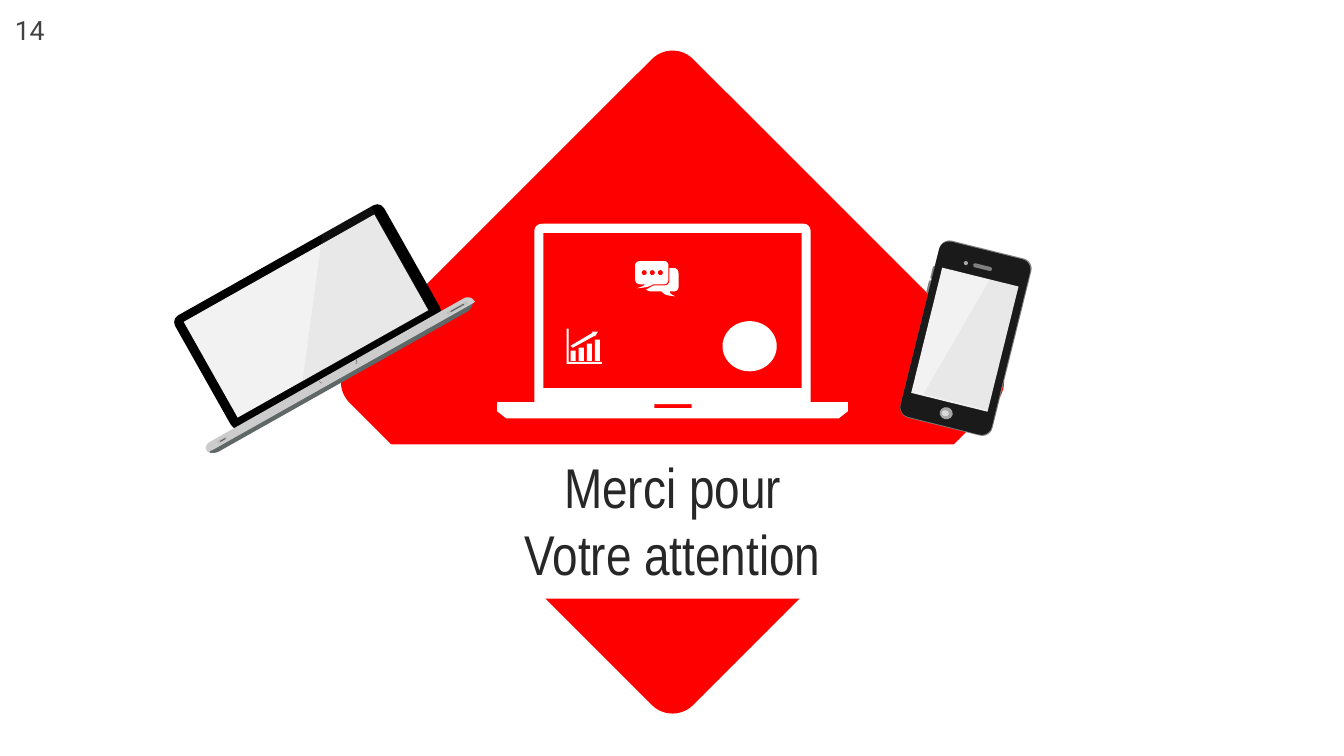
from dataclasses import dataclass

import lxml.etree
import pptx
import pptx.dml.color
import pptx.enum.shapes
import pptx.enum.text
import pptx.oxml.ns
import pptx.util

COLUMNS, ROWS = 13.33, 7.5
CELL = pptx.util.Inches(1)
CURVE_STEPS = 8
LAPTOP_TILT, PHONE_TILT = 330.6, 13.9

RED, WHITE, BLACK, SCREEN = "FF0000", "FFFFFF", "000000", "F2F2F2"
METAL, GLARE = "808080", "999999"

KINDS = pptx.enum.shapes.MSO_SHAPE
RECT, ROUND, OVAL = KINDS.RECTANGLE, KINDS.ROUNDED_RECTANGLE, KINDS.OVAL


@dataclass
class Preset:
    """A preset shape; lengths in grid columns and rows."""
    kind: int
    left: float
    top: float
    width: float
    height: float
    fill: str
    tilt: float = 0
    corner: float = 0
    line_points: float = 0


@dataclass
class Outline:
    """Contours written as M, L, C and Z commands in grid columns and rows."""
    route: str
    fill: str
    opacity: float = 1


@dataclass
class Label:
    left: float
    top: float
    width: float
    height: float
    lines: list[str]
    font: str
    size: float
    colour: str
    wrap: bool
    anchor: int


def box_route(left: float, top: float, right: float, bottom: float) -> str:
    return f"M{left},{top} L{right},{top} {right},{bottom} {left},{bottom} Z"


def dot_route(x: float) -> str:
    """A round hole in the speech bubble, centred on column x."""
    left, right, inner_left, inner_right = (round(x + d, 3) for d in (-.025, .025, -.014, .014))
    return (f"M{x},2.68 C{inner_left},2.68 {left},2.69 {left},2.704 "
            f"{left},2.72 {inner_left},2.73 {x},2.73 "
            f"{inner_right},2.73 {right},2.72 {right},2.704 "
            f"{right},2.69 {inner_right},2.68 {x},2.68 Z")


BARS = " ".join(box_route(round(5.66 + .08 * i, 2), top, round(5.71 + .08 * i, 2), 3.58)
                for i, top in enumerate((3.48, 3.45, 3.41, 3.37)))
TREND = "M5.87,3.29 L5.93,3.29 5.9,3.34 5.9,3.33 5.68,3.45 5.66,3.43 5.88,3.3 Z"
AXES = "M5.62,3.26 L5.64,3.26 5.64,3.59 5.97,3.59 5.97,3.61 5.62,3.61 Z"
DOTS = " ".join(dot_route(x) for x in (6.39, 6.47, 6.55))
BACK_BUBBLE = ("M6.64,2.66 L6.69,2.66 C6.71,2.66 6.73,2.68 6.73,2.71 L6.73,2.85 "
               "C6.73,2.87 6.71,2.89 6.69,2.89 L6.64,2.89 C6.65,2.91 6.65,2.92 6.7,2.94 "
               "6.61,2.93 6.6,2.93 6.56,2.89 L6.45,2.89 C6.43,2.89 6.42,2.88 6.41,2.87 "
               "6.44,2.86 6.46,2.84 6.49,2.83 L6.6,2.83 C6.62,2.83 6.64,2.81 6.64,2.78 Z")
FRONT_BUBBLE = ("M6.35,2.59 L6.59,2.59 C6.61,2.59 6.63,2.61 6.63,2.63 L6.63,2.77 "
                "C6.63,2.8 6.61,2.82 6.59,2.82 L6.48,2.82 C6.43,2.85 6.41,2.85 6.32,2.86 "
                "6.37,2.84 6.38,2.84 6.4,2.82 L6.35,2.82 C6.32,2.82 6.3,2.8 6.3,2.77 "
                "L6.3,2.63 C6.3,2.61 6.32,2.59 6.35,2.59 Z")
LAPTOP_FRAME = ("M5.38,2.22 L7.97,2.22 C8.01,2.22 8.04,2.25 8.04,2.3 L8.04,3.99 8.41,3.99 "
                "8.41,4.08 8.32,4.15 5.02,4.15 4.93,4.08 4.93,3.99 5.3,3.99 5.3,2.3 "
                "C5.3,2.25 5.33,2.22 5.38,2.22 Z")
KEYBOARD_UNDERSIDE = ("M4.64,3.09 C4.64,3.09 4.69,3.05 4.69,3 4.69,2.99 4.67,2.99 4.66,3 "
                      "L2.13,4.43 2.09,4.45 C2.08,4.46 2.07,4.48 2.08,4.49 "
                      "2.11,4.5 2.15,4.49 2.17,4.48 Z")
KEYBOARD_EDGE = ("M2.09,4.38 L4.6,2.96 C4.64,2.94 4.68,2.95 4.7,2.98 L4.71,2.99 "
                 "C4.71,2.99 4.71,3 4.69,3.01 L2.1,4.47 C2.09,4.47 2.09,4.47 2.08,4.48 "
                 "2.08,4.48 2.06,4.49 2.06,4.48 L2.05,4.47 C2.03,4.44 2.05,4.4 2.09,4.38 Z")
LID_NOTCH = ("M3.53,3.57 L3.53,3.56 C3.55,3.59 3.54,3.61 3.53,3.61 L3.52,3.61 3.53,3.61 "
             "C3.54,3.6 3.54,3.59 3.53,3.57 Z "
             "M3.16,3.77 C3.16,3.77 3.17,3.8 3.2,3.8 3.17,3.81 3.16,3.77 3.16,3.77 Z")

BACKDROP = [
    Preset(ROUND, 4.26, 1.38, 4.82, 4.82, RED, 315, .06),
    Preset(RECT, 1.73, 4.41, 9.87, 1.53, WHITE),
]
ICONS = [
    Preset(OVAL, 7.18, 3.2, .51, .47, WHITE, line_points=2),
    Outline(f"{BARS} {TREND} {AXES}", WHITE),
    Outline(f"{DOTS} {BACK_BUBBLE} {FRONT_BUBBLE}", WHITE),
]
TILTED_LAPTOP = [
    Outline(KEYBOARD_UNDERSIDE, "5F6767"),
    Preset(ROUND, 1.86, 2.5, 2.38, 1.28, BLACK, LAPTOP_TILT, .06),
    Preset(RECT, 1.95, 2.59, 2.17, 1.09, SCREEN, LAPTOP_TILT),
    Outline(KEYBOARD_EDGE, "CCCCCC"),
    Outline(LID_NOTCH, "4D4D4D"),
    Preset(ROUND, 2.15, 4.35, .11, .03, "BFBFBF", LAPTOP_TILT, .28),
    Preset(ROUND, 2.18, 4.36, .06, .01, "595959", LAPTOP_TILT, .28),
    Preset(ROUND, 4.42, 3.04, .23, .03, "BFBFBF", LAPTOP_TILT, .28),
    Preset(ROUND, 4.46, 3.05, .15, .01, "595959", LAPTOP_TILT, .28),
    Outline("M3.2,2.31 L3.68,2.05 4.26,3.08 3,3.79 Z", GLARE, .1),
]
PHONE = [
    *(Preset(ROUND, left, top, .03, .13, METAL, PHONE_TILT, .5)
      for left, top in ((9.24, 2.64), (9.2, 2.78), (10.1, 3))),
    Preset(ROUND, 9.11, 2.45, .94, 1.81, METAL, PHONE_TILT, .11),
    Preset(ROUND, 9.11, 2.46, .93, 1.79, "1A1A1A", PHONE_TILT, .11),
    Preset(RECT, 9.18, 2.73, .78, 1.28, SCREEN, PHONE_TILT),
    Preset(OVAL, 9.32, 4.04, .13, .12, "A6A6A6", PHONE_TILT),
    Preset(OVAL, 9.34, 4.07, .07, .06, "D9D9D9", PHONE_TILT),
    Outline("M9.82,2.77 L10.1,2.85 9.8,4.07 9.16,3.91 Z", GLARE, .1),
    Preset(ROUND, 9.65, 2.63, .19, .04, METAL, PHONE_TILT, .5),
    Preset(OVAL, 9.56, 2.59, .04, .04, "A6A6A6", PHONE_TILT),
]
CENTRE_LAPTOP = Outline(
    f"{box_route(6.49, 4.01, 6.86, 4.05)} {box_route(5.39, 2.31, 7.95, 3.85)} {LAPTOP_FRAME}",
    WHITE)
ANCHORS = pptx.enum.text.MSO_ANCHOR
LABELS = [
    Label(3.4, 4.44, 6.54, 1.43, ["Merci pour", "Votre attention"],
          "Arial Narrow", 40, "272727", True, ANCHORS.MIDDLE),
    Label(.09, .09, .41, .42, ["14"], "Roboto", 19, "414141", False, ANCHORS.TOP),
]


def cells(*counts: float) -> list[int]:
    return [round(count * CELL) for count in counts]


def paint(target, colour: str) -> None:
    """Give a fill, or a line's fill, one solid colour."""
    target.solid()
    target.fore_color.rgb = pptx.dml.color.RGBColor.from_string(colour)


def finish(shape, fill: str, line_points: float = 0) -> None:
    shape.shadow.inherit = False
    paint(shape.fill, fill)
    if line_points:
        paint(shape.line.fill, fill)
        shape.line.width = pptx.util.Pt(line_points)
    else:
        shape.line.fill.background()


def draw_preset(page, item: Preset) -> None:
    shape = page.shapes.add_shape(
        item.kind, *cells(item.left, item.top, item.width, item.height))
    shape.rotation = item.tilt
    if item.kind == ROUND:
        shape.adjustments[0] = item.corner
    finish(shape, item.fill, item.line_points)


def contours(route: str) -> list[list[tuple[float, float]]]:
    """Turn a route into lists of points, with curves cut into short lines."""
    found, command, pending = [], "M", []
    for token in route.split():
        if token[0].isalpha():
            command, token = token[0], token[1:]
        if not token:
            continue
        x, y = map(float, token.split(","))
        if command == "M":
            found.append([(x, y)])
        elif command == "L":
            found[-1].append((x, y))
        else:
            pending.append((x, y))
            if len(pending) == 3:
                found[-1] += curve(found[-1][-1], *pending)
                pending = []
    return found


def curve(*controls: tuple[float, float]) -> list[tuple[float, float]]:
    points = []
    for step in range(1, CURVE_STEPS + 1):
        t = step / CURVE_STEPS
        weights = ((1 - t) ** 3, 3 * t * (1 - t) ** 2, 3 * t * t * (1 - t), t ** 3)
        points.append(tuple(sum(w * c[axis] for w, c in zip(weights, controls))
                            for axis in (0, 1)))
    return points


def draw_outline(page, item: Outline) -> None:
    first, *others = [[cells(*point) for point in contour] for contour in contours(item.route)]
    builder = page.shapes.build_freeform(*first[0])
    builder.add_line_segments(first[1:], close=True)
    for contour in others:
        builder.move_to(*contour[0])
        builder.add_line_segments(contour[1:], close=True)
    shape = builder.convert_to_shape()
    finish(shape, item.fill)
    if item.opacity < 1:
        colour = shape.fill._xPr.find(".//" + pptx.oxml.ns.qn("a:srgbClr"))
        alpha = lxml.etree.SubElement(colour, pptx.oxml.ns.qn("a:alpha"))
        alpha.set("val", str(round(item.opacity * 100000)))


def draw_label(page, item: Label) -> None:
    box = page.shapes.add_textbox(*cells(item.left, item.top, item.width, item.height))
    frame = box.text_frame
    frame.word_wrap = item.wrap
    frame.auto_size = pptx.enum.text.MSO_AUTO_SIZE.SHAPE_TO_FIT_TEXT
    frame.vertical_anchor = item.anchor
    frame.margin_left = frame.margin_right = frame.margin_top = frame.margin_bottom = cells(.05)[0]
    frame.text = "\n".join(item.lines)
    for para in frame.paragraphs:
        para.alignment = pptx.enum.text.PP_ALIGN.CENTER
        para.font.name = item.font
        para.font.size = pptx.util.Pt(item.size)
        paint(para.font.fill, item.colour)


def main() -> None:
    deck = pptx.Presentation()
    deck.slide_width, deck.slide_height = cells(COLUMNS, ROWS)
    page = deck.slides.add_slide(deck.slide_layouts[6])
    draw = {Preset: draw_preset, Outline: draw_outline, Label: draw_label}
    for item in [*BACKDROP, *ICONS, *TILTED_LAPTOP, *PHONE, CENTRE_LAPTOP, *LABELS]:
        draw[type(item)](page, item)
    deck.save("out.pptx")


if __name__ == "__main__":
    main()
